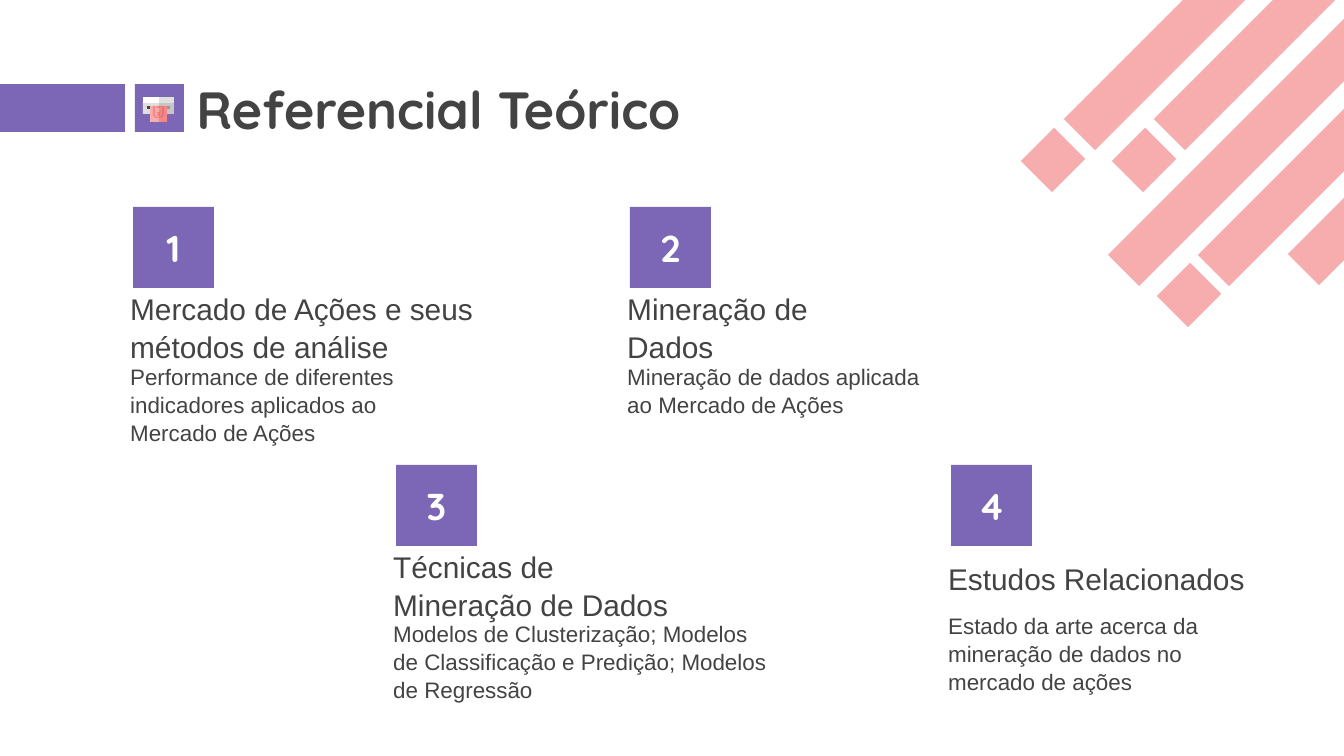
from lxml.etree import SubElement
from pptx import Presentation
from pptx.dml.color import RGBColor
from pptx.enum.shapes import MSO_SHAPE as Shape
from pptx.enum.text import MSO_ANCHOR as Anchor, MSO_AUTO_SIZE as AutoSize, PP_ALIGN as Align
from pptx.oxml.ns import qn
from pptx.util import Inches, Pt

PX = 914400 / 134.4
COLORS = {"purple": "7B67B5", "pink": "F7ADAD", "coral": "F98585", "ink": "434343",
          "white": "FFFFFF", "silver": "E0E0E0", "gray": "999999"}
STYLES = {
    "title": {"name": "Quicksand", "size": Pt(28), "bold": True},
    "number": {"name": "Quicksand", "size": Pt(20), "bold": True},
    "heading": {"name": "Arial", "size": Pt(16), "bold": False},
    "body": {"name": "Arial", "size": Pt(12), "bold": False},
}


def emu(*lengths):
    return [round(length * PX) for length in lengths]


class Deck:
    def __init__(self):
        self.prs = Presentation()
        self.prs.slide_width, self.prs.slide_height = Inches(10), Inches(5.625)
        self.slide = self.prs.slides.add_slide(self.prs.slide_layouts[5])

    def paint(self, shape, color, alpha=None):
        shape.shadow.inherit = False
        shape.line.fill.background()
        shape.fill.solid()
        shape.fill.fore_color.rgb = RGBColor.from_string(COLORS[color])
        if alpha:
            tint = shape.element.spPr.find(qn("a:solidFill")).find(qn("a:srgbClr"))
            SubElement(tint, qn("a:alpha"), val=str(alpha * 1000))

    def set_text(self, shape, text, style, color="ink", anchor=Anchor.TOP,
                 align=Align.LEFT, spacing=1.0):
        frame = shape.text_frame
        frame.text = text
        settings = {"word_wrap": True, "auto_size": AutoSize.NONE, "vertical_anchor": anchor}
        settings |= dict.fromkeys(
            ("margin_left", "margin_top", "margin_right", "margin_bottom"), Inches(0.1))
        for name, value in settings.items():
            setattr(frame, name, value)
        paragraph = frame.paragraphs[0]
        paragraph.alignment, paragraph.line_spacing = align, spacing
        for name, value in STYLES[style].items():
            setattr(paragraph.font, name, value)
        paragraph.font.color.rgb = RGBColor.from_string(COLORS[color])

    def title(self, text, *box):
        title = self.slide.shapes.title
        for name, value in zip(("left", "top", "width", "height"), emu(*box)):
            setattr(title, name, value)
        self.set_text(title, text, "title", anchor=Anchor.MIDDLE)

    def rect(self, color, *box):
        block = self.slide.shapes.add_shape(Shape.RECTANGLE, *emu(*box))
        self.paint(block, color)
        return block

    def stripe(self, center_x, center_y, length, thickness=44):
        bar = self.rect("pink", center_x - length / 2, center_y - thickness / 2,
                        length, thickness)
        bar.rotation = 135

    def polygon(self, points, color, alpha=None):
        builder = self.slide.shapes.build_freeform(*points[0], scale=PX)
        builder.add_line_segments(points[1:], close=True)
        self.paint(builder.convert_to_shape(), color, alpha)

    def text(self, text, style, anchor, *box):
        holder = self.slide.shapes.add_textbox(*emu(*box))
        self.set_text(holder, text, style, anchor=anchor, spacing=1.05)

    def tile(self, number, left, top, side=81):
        tile = self.rect("purple", left, top, side, side)
        self.set_text(tile, number, "number", "white", Anchor.MIDDLE, Align.CENTER)


def corners(left, top, right, bottom):
    return [(left, top), (right, top), (right, bottom), (left, bottom)]


# Centre x, centre y and length
LONG, SHORT = 406, 47
STRIPES = [(1053, 160, SHORT), (1223, -9, LONG), (1144, 160, SHORT), (1313, -9, LONG),
           (1267, 127, LONG), (1367, 206, 180), (1357, 127, LONG), (1189, 295, SHORT)]

# Cash dispenser: points, colour, opacity; the right half is shaded from x = 159
DISPENSER = [
    ([(143, 101), (174, 101), (174, 114), (165, 114), (165, 109), (152, 109),
      (152, 114), (143, 114)], "silver", None),
    ([(159, 101), (174, 101), (174, 114), (165, 114), (165, 109), (159, 109)], "ink", 16),
    (corners(143, 97, 174, 103), "white", None),
    (corners(159, 97, 174, 103), "ink", 16),
    (corners(147, 106, 170, 109), "ink", None),
    (corners(159, 106, 170, 109), "gray", None),
    (corners(150, 106, 167, 122), "pink", None),
    (corners(157, 112, 160, 116), "coral", None),
    (corners(159, 106, 167, 122), "coral", None),
    ([(153, 106), (153, 116), (156, 118), (161, 118), (164, 116), (164, 106), (162, 106),
      (162, 115), (160, 117), (157, 117), (155, 115), (155, 106)], "coral", None),
    ([(156, 106), (161, 106), (160, 108), (157, 108)], "coral", None),
    ([(162, 106), (164, 106), (164, 116), (161, 118), (159, 118), (159, 117),
      (160, 117), (162, 115)], "ink", 16),
    (corners(159, 112, 160, 116), "ink", 16),
    ([(159, 106), (161, 106), (160, 108), (159, 108)], "ink", 16),
]

# Left, tile top, heading and its size, body, its offset from the tile top and its size
TOPICS = [
    (117, 207, "Mercado de Ações e seus métodos de análise", (374, 89),
     "Performance de diferentes indicadores aplicados ao Mercado de Ações", 141, (360, 81)),
    (614, 207, "Mineração de Dados", (290, 89),
     "Mineração de dados aplicada ao Mercado de Ações", 141, (340, 71)),
    (380, 465, "Técnicas de Mineração de Dados", (320, 89),
     "Modelos de Clusterização; Modelos de Classificação e Predição; Modelos de Regressão",
     140, (401, 81)),
    (935, 465, "Estudos Relacionados", (340, 63),
     "Estado da arte acerca da mineração de dados no mercado de ações", 132, (320, 89)),
]


def main():
    deck = Deck()
    for stripe in STRIPES:
        deck.stripe(*stripe)
    deck.rect("purple", 0, 84, 125, 48)
    deck.rect("purple", 135, 84, 49, 48)
    deck.title("Referencial Teórico", 183, 77, 911, 63)
    for part in DISPENSER:
        deck.polygon(*part)
    for number, topic in enumerate(TOPICS, 1):
        left, top, heading, heading_size, body, body_offset, body_size = topic
        deck.tile(str(number), left + 16, top)
        deck.text(heading, "heading", Anchor.BOTTOM, left, top + 82, *heading_size)
        deck.text(body, "body", Anchor.TOP, left, top + body_offset, *body_size)
    deck.prs.save("out.pptx")


if __name__ == "__main__":
    main()
